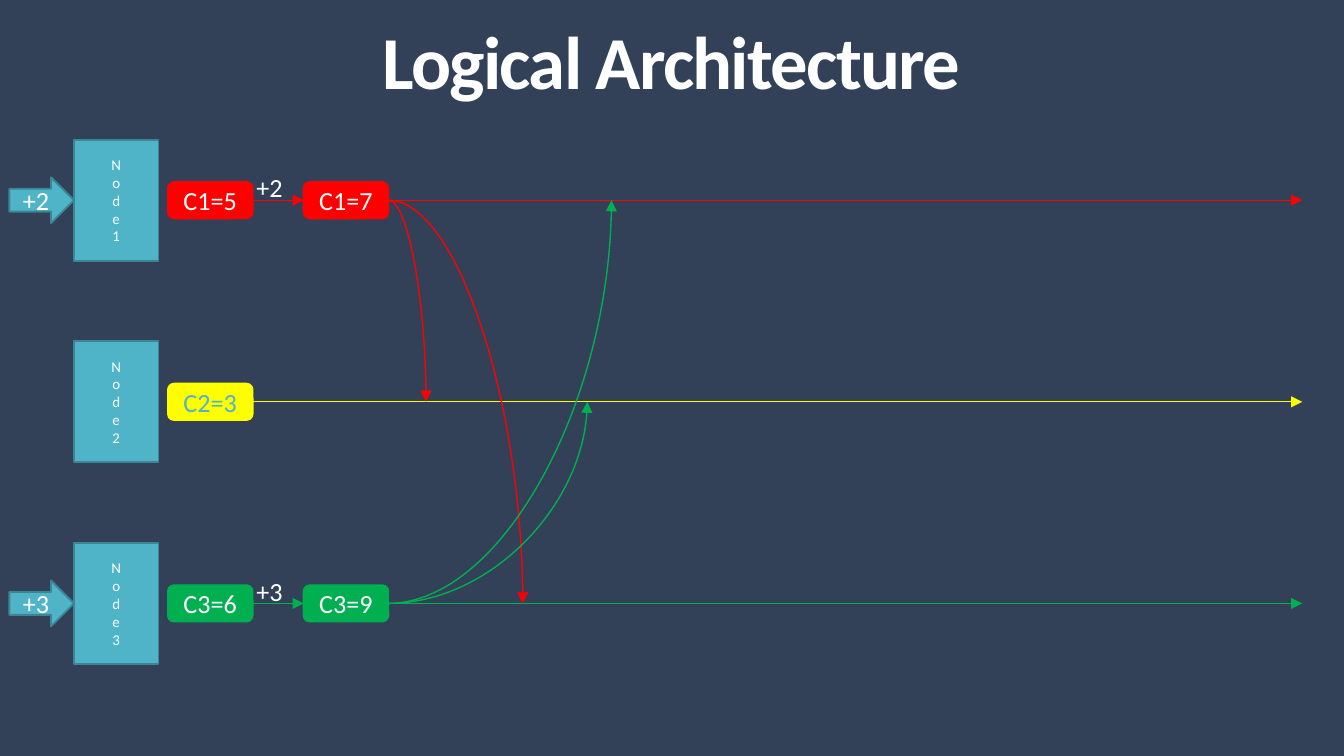
import pptx
import pptx.util
import pptx.dml.color
import pptx.enum.shapes
import pptx.enum.text
import pptx.oxml.ns
import lxml.etree

Inches = pptx.util.Inches
Pt = pptx.util.Pt
RGBColor = pptx.dml.color.RGBColor
SHAPE = pptx.enum.shapes.MSO_SHAPE
CONNECTOR = pptx.enum.shapes.MSO_CONNECTOR
ALIGN = pptx.enum.text.PP_ALIGN
ANCHOR = pptx.enum.text.MSO_ANCHOR
qn = pptx.oxml.ns.qn

NAVY = RGBColor(0x32, 0x41, 0x58)
TEAL = RGBColor(0x50, 0xB4, 0xC8)
DARK_TEAL = RGBColor(0x3B, 0x85, 0x94)
WHITE = RGBColor(0xFF, 0xFF, 0xFF)
RED = RGBColor(0xFF, 0x00, 0x00)
YELLOW = RGBColor(0xFF, 0xFF, 0x00)
GREEN = RGBColor(0x00, 0xB0, 0x50)

deck = pptx.Presentation()
deck.slide_width = Inches(10)
deck.slide_height = Inches(10 * 9 / 16)
slide = deck.slides.add_slide(deck.slide_layouts[5])
slide.background.fill.solid()
slide.background.fill.fore_color.rgb = NAVY


def add_box(kind, left, middle, width, height, text, fill, outline, size=14, color=WHITE):
    box = slide.shapes.add_shape(
        kind, Inches(left), Inches(middle - height / 2), Inches(width), Inches(height))
    box.shadow.inherit = False
    box.fill.solid()
    box.fill.fore_color.rgb = fill
    box.line.color.rgb = outline
    box.line.width = Pt(1)
    box.text_frame.text = text
    paragraph = box.text_frame.paragraphs[0]
    paragraph.alignment = ALIGN.CENTER
    font = paragraph.runs[0].font
    for name, value in {"name": "Calibri", "size": Pt(size)}.items():
        setattr(font, name, value)
    font.color.rgb = color
    return box


def add_arrow(start, end, color, kind=CONNECTOR.STRAIGHT):
    arrow = slide.shapes.add_connector(kind, *map(Inches, start + end))
    arrow.line.color.rgb = color
    arrow.line.width = Pt(0.75)
    properties = arrow._element.spPr
    if kind == CONNECTOR.CURVE:
        properties.find(qn("a:prstGeom")).set("prst", "curvedConnector2")
    lxml.etree.SubElement(properties.find(qn("a:ln")), qn("a:tailEnd"), type="triangle")
    lxml.etree.SubElement(properties, qn("a:effectLst"))


title = slide.shapes.title
title_place = {"left": 0.77, "top": 0.17, "width": 8.45, "height": 0.71}
for name, value in title_place.items():
    setattr(title, name, Inches(value))
title_frame = title.text_frame
title_frame.text = "Logical Architecture"
frame_format = {
    "vertical_anchor": ANCHOR.BOTTOM, "word_wrap": True,
    "auto_size": pptx.enum.text.MSO_AUTO_SIZE.NONE,
    "margin_left": Inches(0.1), "margin_right": Inches(0.1),
    "margin_top": Inches(0.1), "margin_bottom": Inches(0.1),
}
for name, value in frame_format.items():
    setattr(title_frame, name, value)
heading = title_frame.paragraphs[0]
heading.alignment = ALIGN.CENTER
heading.line_spacing = 0.85
heading_font = heading.runs[0].font
for name, value in {"name": "Calibri", "size": Pt(40), "bold": True}.items():
    setattr(heading_font, name, value)
heading_font.color.rgb = WHITE
heading.runs[0]._r.get_or_add_rPr().set("spc", "-90")

FIRST_LANE, LANE_GAP = 1.49, 1.5
lane_y = [FIRST_LANE + LANE_GAP * index for index in range(3)]
COUNTER_WIDTH, COUNTER_HEIGHT = 0.63, 0.27
BEFORE_LEFT, AFTER_LEFT = 1.25, 2.26
before_right = BEFORE_LEFT + COUNTER_WIDTH
after_right = AFTER_LEFT + COUNTER_WIDTH
LANE_END = 9.69

lanes = [
    ("Node1", RED, WHITE, "C1=5", "+2", "C1=7"),
    ("Node2", YELLOW, TEAL, "C2=3", None, None),
    ("Node3", GREEN, WHITE, "C3=6", "+3", "C3=9"),
]
for y, (node, color, text_color, before, increment, after) in zip(lane_y, lanes):
    node_box = add_box(SHAPE.RECTANGLE, 0.55, y, 0.63, 0.9, node, TEAL, DARK_TEAL, 8)
    node_box.text_frame._txBody.bodyPr.set("vert", "wordArtVert")
    add_box(SHAPE.ROUNDED_RECTANGLE, BEFORE_LEFT, y, COUNTER_WIDTH, COUNTER_HEIGHT,
            before, color, color, color=text_color)
    if increment is None:
        add_arrow((before_right, y), (LANE_END, y), color)
        continue
    add_box(SHAPE.RIGHT_ARROW, 0.07, y, 0.48, 0.34, increment, TEAL, DARK_TEAL)
    add_arrow((before_right, y), (AFTER_LEFT, y), color)
    step = slide.shapes.add_textbox(Inches(1.81), Inches(y - 0.26), Inches(0.4), Inches(0.34))
    step.text_frame.word_wrap = False
    step.text_frame.auto_size = pptx.enum.text.MSO_AUTO_SIZE.SHAPE_TO_FIT_TEXT
    step.text_frame.text = increment
    step_font = step.text_frame.paragraphs[0].runs[0].font
    for name, value in {"name": "Calibri", "size": Pt(14)}.items():
        setattr(step_font, name, value)
    step_font.color.rgb = WHITE
    add_box(SHAPE.ROUNDED_RECTANGLE, AFTER_LEFT, y, COUNTER_WIDTH, COUNTER_HEIGHT,
            after, color, color)
    add_arrow((after_right, y), (LANE_END, y), color)

broadcasts = [
    (0, 1, 3.17, RED),
    (0, 2, 3.89, RED),
    (2, 0, 4.55, GREEN),
    (2, 1, 4.37, GREEN),
]
for sender, receiver, arrival, color in broadcasts:
    add_arrow((after_right, lane_y[sender]), (arrival, lane_y[receiver]), color, CONNECTOR.CURVE)

deck.save("out.pptx")
